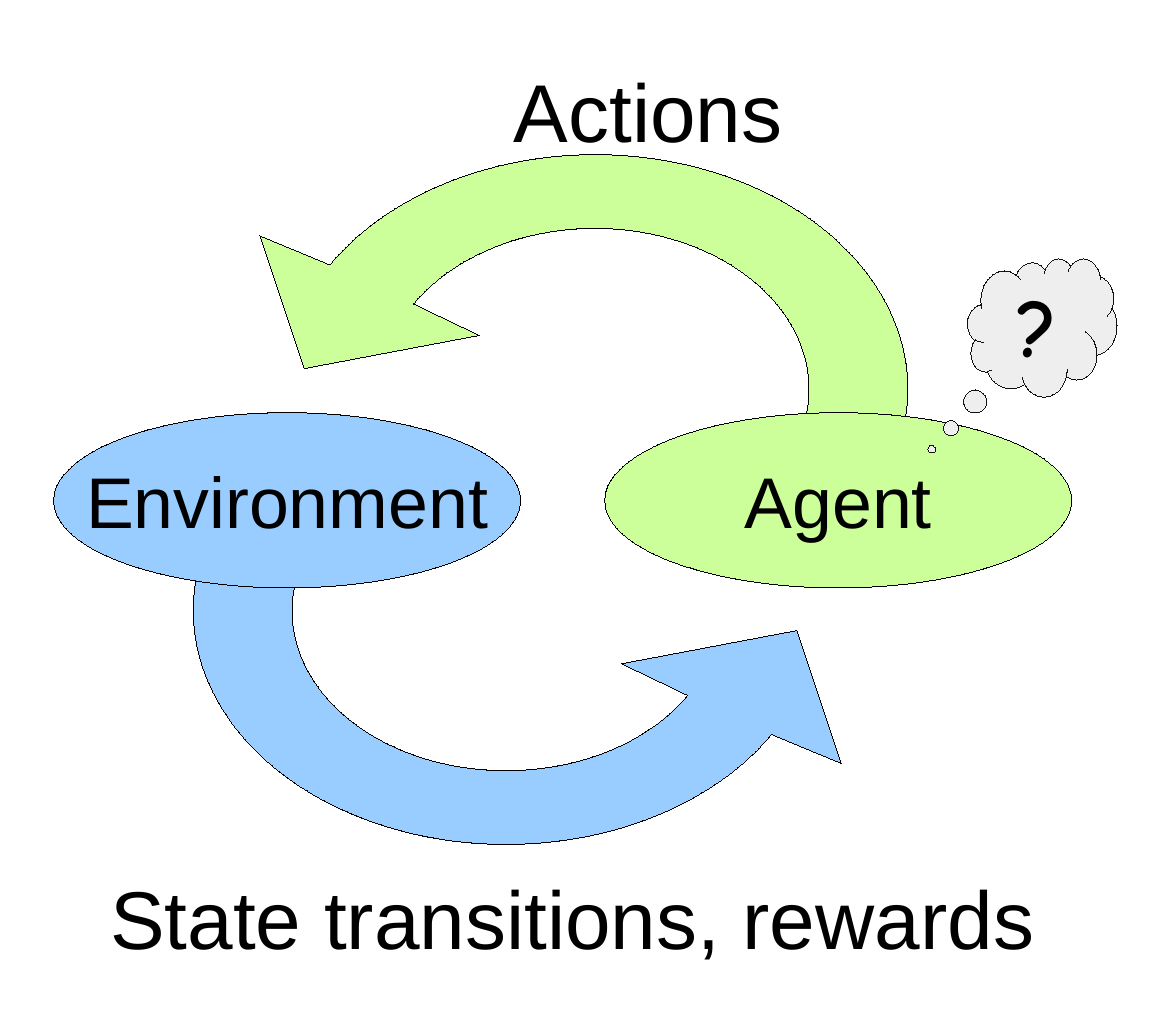
from math import cos, radians, sin, tan

from lxml import etree
from pptx import Presentation, util as u
from pptx.dml.color import RGBColor
from pptx.enum import shapes, text
from pptx.oxml import ns

WIDE, HIGH = u.Inches(6.38), u.Inches(5.57)
HEX = {"blue": "99CCFF", "green": "CCFF99", "grey": "EEEEEE",
       "edge": "111111", "black": "000000"}

# Lengths are percentages of the slide's width and height
OVAL = (39.7, 17.06)
OUTER, INNER = (26.6, 22.8), (18.2, 15.62)
# Arrowhead corners, measured from the middle of the band
HEAD = [(-28.5, -14.9), (-24.73, -1.97), (-9.83, -5.2)]
FROM, TO, PARTS = 212, 405, 3  # degrees swept by an arrow's band


def place(x, y):
    return round(WIDE * x / 100), round(HIGH * y / 100)


def hue(name):
    return RGBColor.from_string(HEX[name])


def paint(shape, fill, edge="black"):
    shape.shadow.inherit = False
    shape.fill.solid()
    shape.fill.fore_color.rgb = hue(fill)
    shape.line.color.rgb = hue(edge)
    shape.element.spPr.find(ns.qn("a:ln")).set("w", "0")  # hairline


def write(frame, words, size, align, face="Arial", bold=False):
    para = frame.paragraphs[0]
    para.alignment = align
    run = para.add_run()
    run.text = words
    font = run.font
    font.name, font.size, font.bold = face, u.Pt(size), bold
    font.color.rgb = hue("black")


def arc(radii, start, end):
    """Starting point and Bezier triples of an elliptic arc."""
    step = radians(end - start) / PARTS
    pull = 4 / 3 * tan(step / 4)

    def spot(turn, lean=0):
        return (radii[0] * (cos(turn) - lean * sin(turn)),
                radii[1] * (sin(turn) + lean * cos(turn)))

    turns = [radians(start) + step * n for n in range(PARTS + 1)]
    return spot(turns[0]), [(spot(a, pull), spot(b, -pull), spot(b))
                            for a, b in zip(turns, turns[1:])]


def arrow(slide, at, fill, turn=0):
    # Frame of the band
    (left, top), (wide, high) = place(*at), place(OUTER[0] * 2, OUTER[1] * 2)
    pen = slide.shapes.build_freeform(left, top)
    pen.add_line_segments([(left + wide, top), (left + wide, top + high),
                           (left, top + high)], close=True)
    shape = pen.convert_to_shape()
    shape.rotation = turn
    paint(shape, fill)

    # Curved outline inside the frame
    route = shape.element.spPr.find(".//" + ns.qn("a:path"))
    del route[:]

    def draw(tag, *points):
        part = etree.SubElement(route, ns.qn("a:" + tag))
        for x, y in points:
            x, y = place(x + OUTER[0], y + OUTER[1])
            etree.SubElement(part, ns.qn("a:pt"), x=str(x), y=str(y))

    for tag, bend in (("moveTo", arc(INNER, FROM, TO)),
                      ("lnTo", arc(OUTER, TO, FROM))):
        draw(tag, bend[0])
        for curve in bend[1]:
            draw("cubicBezTo", *curve)
    for corner in HEAD:
        draw("lnTo", corner)
    draw("close")


def node(slide, kind, at, size, fill, words, points, edge="black", **style):
    shape = slide.shapes.add_shape(kind, *place(*at), *place(*size))
    paint(shape, fill, edge)
    frame = shape.text_frame
    frame.word_wrap = False
    frame.vertical_anchor = text.MSO_ANCHOR.MIDDLE
    write(frame, words, points, text.PP_ALIGN.CENTER, **style)
    return shape


def label(slide, at, size, words):
    frame = slide.shapes.add_textbox(*place(*at), *place(*size)).text_frame
    frame.word_wrap = True
    frame.auto_size = text.MSO_AUTO_SIZE.SHAPE_TO_FIT_TEXT
    write(frame, words, 32, text.PP_ALIGN.LEFT)


def main():
    deck = Presentation()
    deck.slide_width, deck.slide_height = WIDE, HIGH
    slide = deck.slides.add_slide(deck.slide_layouts[6])

    # Cycle arrows, the lower one turned half round
    arrow(slide, (16.43, 36.62), "blue", 180)
    arrow(slide, (24, 15.06), "green")

    # The two parties
    for x, fill, words in ((4.56, "blue", "Environment"),
                           (51.43, "green", "Agent")):
        node(slide, shapes.MSO_SHAPE.OVAL, (x, 40.19), OVAL, fill, words, 28)

    # The agent's thought
    cloud = node(slide, shapes.MSO_SHAPE.CLOUD_CALLOUT, (82.29, 25.17),
                 (12.7, 13.46), "grey", "?", 32, "edge",
                 face="Comic Neue", bold=True)
    cloud.adjustments[0], cloud.adjustments[1] = -0.74, 0.88

    # Arrow labels
    label(slide, (7.84, 83.62), (100.31, 12.21), "State transitions, rewards")
    label(slide, (42.16, 5.03), (32.29, 12.21), "Actions")

    deck.save("out.pptx")


if __name__ == "__main__":
    main()
